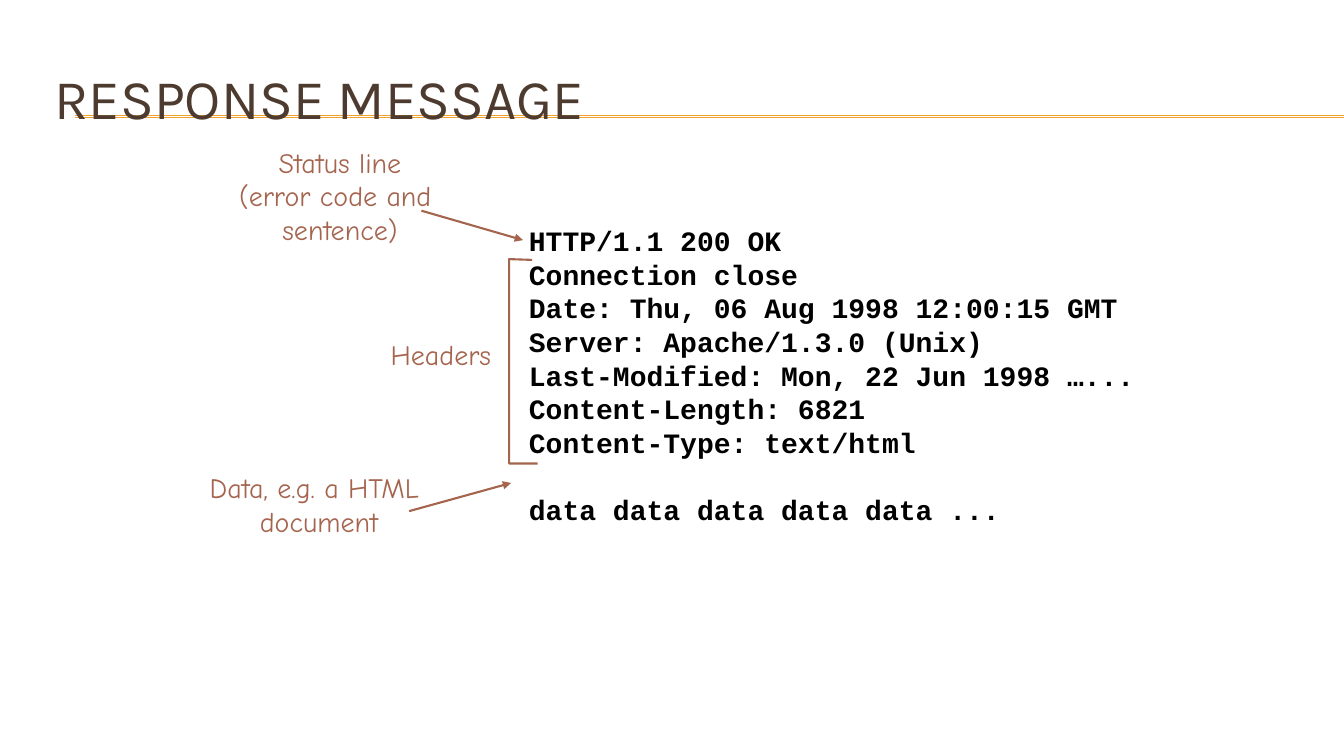
from dataclasses import dataclass

from lxml.etree import SubElement
from pptx import Presentation
from pptx.dml.color import RGBColor
from pptx.enum.shapes import MSO_CONNECTOR as Line
from pptx.enum.text import MSO_ANCHOR as Anchor, PP_ALIGN as Align
from pptx.oxml.ns import qn
from pptx.slide import Slide
from pptx.util import Cm, Pt

RUST = "A5644E"
GOLD = "F0A22E"
BROWN = "4E3B30"
BLACK = "000000"
LINE_HEIGHT = Pt(24)


@dataclass(frozen=True)
class Passage:
    left: float
    top: float
    width: float
    height: float
    lines: tuple[str, ...]
    align: Align = Align.CENTER
    font: str = "Comic Neue"
    color: str = RUST
    bold: bool = False


@dataclass(frozen=True)
class Stroke:
    start: tuple[float, float]
    end: tuple[float, float]
    color: str = RUST
    weight: float = 1.5
    arrow: bool = True


RULES = [Stroke((1.9, y), (33.87, y), GOLD, 0.75, False) for y in (2.92, 2.95)]

ARROWS = [
    Stroke((10.62, 5.31), (13.18, 6.05)),
    Stroke((10.31, 12.88), (12.88, 12.17)),
]

MESSAGE = Passage(
    13.08, 5.51, 16.18, 7.87,
    (
        "HTTP/1.1 200 OK",
        "Connection close",
        "Date: Thu, 06 Aug 1998 12:00:15 GMT",
        "Server: Apache/1.3.0 (Unix)",
        "Last-Modified: Mon, 22 Jun 1998 …...",
        "Content-Length: 6821",
        "Content-Type: text/html",
        "data data data data data ...",
    ),
    Align.LEFT, "Courier New", BLACK, True,
)

LABELS = [
    Passage(5.61, 3.53, 5.92, 2.82, ("Status line", "(error code and ", "sentence)")),
    Passage(9.3, 8.38, 3.33, 1.12, ("Headers",), Align.RIGHT),
    Passage(4.7, 11.73, 6.68, 1.96, ("Data, e.g. a HTML ", "document")),
]

BRACKET = [(13.41, 6.55), (12.83, 6.53), (12.83, 11.68), (13.55, 11.68)]


def rgb(color: str) -> RGBColor:
    return RGBColor.from_string(color)


def add_passage(slide: Slide, passage: Passage):
    box = slide.shapes.add_textbox(
        Cm(passage.left), Cm(passage.top), Cm(passage.width), Cm(passage.height)
    )
    frame = box.text_frame
    frame.word_wrap = True
    frame.text = "\n".join(passage.lines)
    for paragraph in frame.paragraphs:
        paragraph.alignment = passage.align
        paragraph.line_spacing = LINE_HEIGHT
        font = paragraph.runs[0].font
        font.name = passage.font
        font.size = Pt(20)
        font.bold = passage.bold
        font.color.rgb = rgb(passage.color)
    return frame


def add_stroke(slide: Slide, stroke: Stroke) -> None:
    (x1, y1), (x2, y2) = stroke.start, stroke.end
    connector = slide.shapes.add_connector(
        Line.STRAIGHT, Cm(x1), Cm(y1), Cm(x2), Cm(y2)
    )
    connector.line.color.rgb = rgb(stroke.color)
    connector.line.width = Pt(stroke.weight)
    if stroke.arrow:
        SubElement(connector.line._get_or_add_ln(), qn("a:tailEnd"), type="triangle")
    SubElement(connector._element.spPr, qn("a:effectLst"))


def add_bracket(slide: Slide) -> None:
    first, *rest = [(Cm(x), Cm(y)) for x, y in BRACKET]
    builder = slide.shapes.build_freeform(*first)
    builder.add_line_segments(rest, close=False)
    bracket = builder.convert_to_shape()
    bracket.shadow.inherit = False
    bracket.fill.background()
    bracket.line.color.rgb = rgb(RUST)
    bracket.line.width = Pt(1.5)


def format_title(slide: Slide) -> None:
    title = slide.shapes.title
    title.left, title.top = Cm(1.12), Cm(1.27)
    title.width, title.height = Cm(32.18), Cm(2.34)
    frame = title.text_frame
    frame.text = "RESPONSE MESSAGE"
    frame.vertical_anchor = Anchor.MIDDLE
    heading = frame.paragraphs[0]
    heading.alignment = Align.LEFT
    font = heading.runs[0].font
    font.name = "Karla"
    font.size = Pt(40)
    font.color.rgb = rgb(BROWN)
    slide.shapes._spTree.append(title._element)


def main() -> None:
    deck = Presentation()
    deck.slide_width, deck.slide_height = Cm(33.87), Cm(19.05)
    slide = deck.slides.add_slide(deck.slide_layouts[5])

    for rule in RULES:
        add_stroke(slide, rule)
    format_title(slide)

    message = add_passage(slide, MESSAGE)
    message.paragraphs[-1].space_before = LINE_HEIGHT

    for label in LABELS:
        add_passage(slide, label)
    for arrow in ARROWS:
        add_stroke(slide, arrow)
    add_bracket(slide)

    deck.save("out.pptx")


if __name__ == "__main__":
    main()
